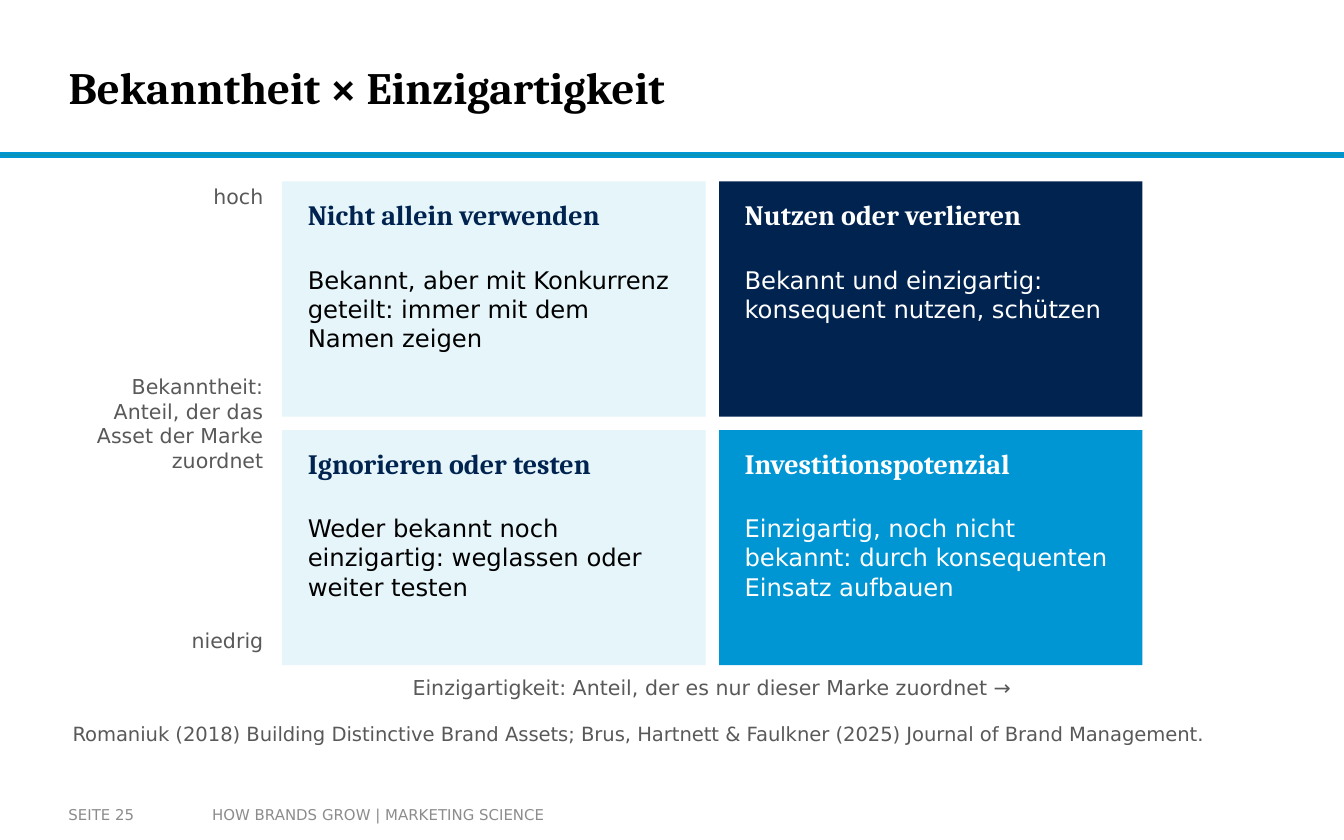
from dataclasses import dataclass

from pptx import Presentation
from pptx.dml.color import RGBColor
from pptx.enum.shapes import MSO_SHAPE as Shape
from pptx.enum.text import MSO_ANCHOR as Anchor, PP_ALIGN as Align
from pptx.util import Pt

PX = 9144  # EMU per px, 100 px to the inch


@dataclass(frozen=True)
class Theme:
    heading_font: str = "Cambria"
    body_font: str = "DejaVu Sans"
    black: str = "000000"
    white: str = "FFFFFF"
    navy: str = "002350"
    blue: str = "0096D3"
    teal: str = "0C94B7"
    pale: str = "E5F5FA"
    gray: str = "595959"
    light_gray: str = "8C8C8C"
    title_size: float = 24
    heading_size: float = 15
    body_size: float = 13
    label_size: float = 11
    source_size: float = 10.5
    footer_size: float = 8


THEME = Theme()


def color(value):
    return RGBColor.from_string(value)


def add_text(slide, box, text, size, text_color, *, font=THEME.body_font, bold=False,
             align=Align.LEFT, anchor=Anchor.TOP, insets=(4, 2), space_after=0):
    shape = slide.shapes.add_textbox(*(value * PX for value in box))
    frame = shape.text_frame
    side, edge = (inset * PX for inset in insets)
    frame_format = {
        "word_wrap": True, "vertical_anchor": anchor,
        "margin_left": side, "margin_right": side,
        "margin_top": edge, "margin_bottom": edge,
    }
    for name, value in frame_format.items():
        setattr(frame, name, value)
    paragraph = frame.paragraphs[0]
    paragraph.alignment = align
    paragraph.space_after = Pt(space_after)
    run = paragraph.add_run()
    run.text = text
    for name, value in {"name": font, "size": Pt(size), "bold": bold}.items():
        setattr(run.font, name, value)
    run.font.color.rgb = color(text_color)


def add_block(slide, box, fill, line=None):
    shape = slide.shapes.add_shape(Shape.RECTANGLE, *(value * PX for value in box))
    shape.shadow.inherit = False
    shape.fill.solid()
    shape.fill.fore_color.rgb = color(fill)
    if line:
        shape.line.color.rgb = color(line)
        shape.line.width = Pt(1)
    else:
        shape.line.fill.background()


def add_header(slide, box, title):
    left, top, width, height = box
    # Rule below the title
    add_block(slide, (left, top + height - 3, width, 3), THEME.teal, THEME.blue)
    add_text(slide, (left + 51, top + 15, 748, 99), title, THEME.title_size, THEME.black,
             font=THEME.heading_font, bold=True, anchor=Anchor.MIDDLE, insets=(0, 0))


def add_quadrant(slide, box, heading, body, fill, heading_color, body_color):
    left, top, width, height = box
    add_block(slide, box, fill)
    add_text(slide, (left + 15, top + 10, width - 30, 45), heading, THEME.heading_size,
             heading_color, font=THEME.heading_font, bold=True, space_after=6)
    add_text(slide, (left + 15, top + 60, width - 30, height - 70), body, THEME.body_size,
             body_color, space_after=6)


def add_matrix(slide, box, quadrants, gap=10):
    left, top, width, height = box
    cell_width, cell_height = (width - gap) // 2, (height - gap) // 2
    for index, quadrant in enumerate(quadrants):
        row, column = divmod(index, 2)
        cell = (left + column * (cell_width + gap), top + row * (cell_height + gap),
                cell_width, cell_height)
        add_quadrant(slide, cell, *quadrant)


def add_axes(slide, box, high, vertical, low, horizontal):
    """Label the axes to the left of and below the matrix box."""
    left, top, width, height = box
    label_left, label_width, label_height = left - 160, 150, 30
    # Vertical axis: top end, middle, bottom end
    for text, label_top, tall, anchor in (
        (high, top, label_height, Anchor.TOP),
        (vertical, top + height // 2 - 50, 100, Anchor.MIDDLE),
        (low, top + height - label_height, label_height, Anchor.TOP),
    ):
        add_text(slide, (label_left, label_top, label_width, tall), text, THEME.label_size,
                 THEME.gray, align=Align.RIGHT, anchor=anchor, space_after=6)
    # Horizontal axis
    add_text(slide, (left, top + height + 5, width, label_height), horizontal,
             THEME.label_size, THEME.gray, align=Align.CENTER, space_after=6)


def add_footer(slide, box, page, series):
    left, top, width, height = box
    page_width = 97
    for text, offset, text_width, insets in (
        (page, 0, page_width, (0, 5)),
        (series, page_width, width - page_width, (10, 5)),
    ):
        add_text(slide, (left + offset, top, text_width, height), text, THEME.footer_size,
                 THEME.light_gray, anchor=Anchor.MIDDLE, insets=insets)


def main():
    presentation = Presentation()
    presentation.slide_width, presentation.slide_height = 1000 * PX, 625 * PX
    slide = presentation.slides.add_slide(presentation.slide_layouts[6])

    add_header(slide, (0, 0, 1000, 117), "Bekanntheit × Einzigartigkeit")

    matrix_box = (210, 135, 640, 360)
    light = (THEME.pale, THEME.navy, THEME.black)
    add_matrix(slide, matrix_box, [
        ("Nicht allein verwenden",
         "Bekannt, aber mit Konkurrenz geteilt: immer mit dem Namen zeigen", *light),
        ("Nutzen oder verlieren",
         "Bekannt und einzigartig: konsequent nutzen, schützen",
         THEME.navy, THEME.white, THEME.white),
        ("Ignorieren oder testen",
         "Weder bekannt noch einzigartig: weglassen oder weiter testen", *light),
        ("Investitionspotenzial",
         "Einzigartig, noch nicht bekannt: durch konsequenten Einsatz aufbauen",
         THEME.blue, THEME.white, THEME.white),
    ])
    add_axes(slide, matrix_box, "hoch",
             "Bekanntheit: Anteil, der das Asset der Marke zuordnet", "niedrig",
             "Einzigartigkeit: Anteil, der es nur dieser Marke zuordnet →")

    # Source line
    add_text(slide, (50, 535, 900, 35),
             "Romaniuk (2018) Building Distinctive Brand Assets; Brus, Hartnett & Faulkner "
             "(2025) Journal of Brand Management.", THEME.source_size, THEME.gray)
    add_footer(slide, (51, 592, 449, 28), "SEITE 25", "HOW BRANDS GROW | MARKETING SCIENCE")

    presentation.save("out.pptx")


if __name__ == "__main__":
    main()
